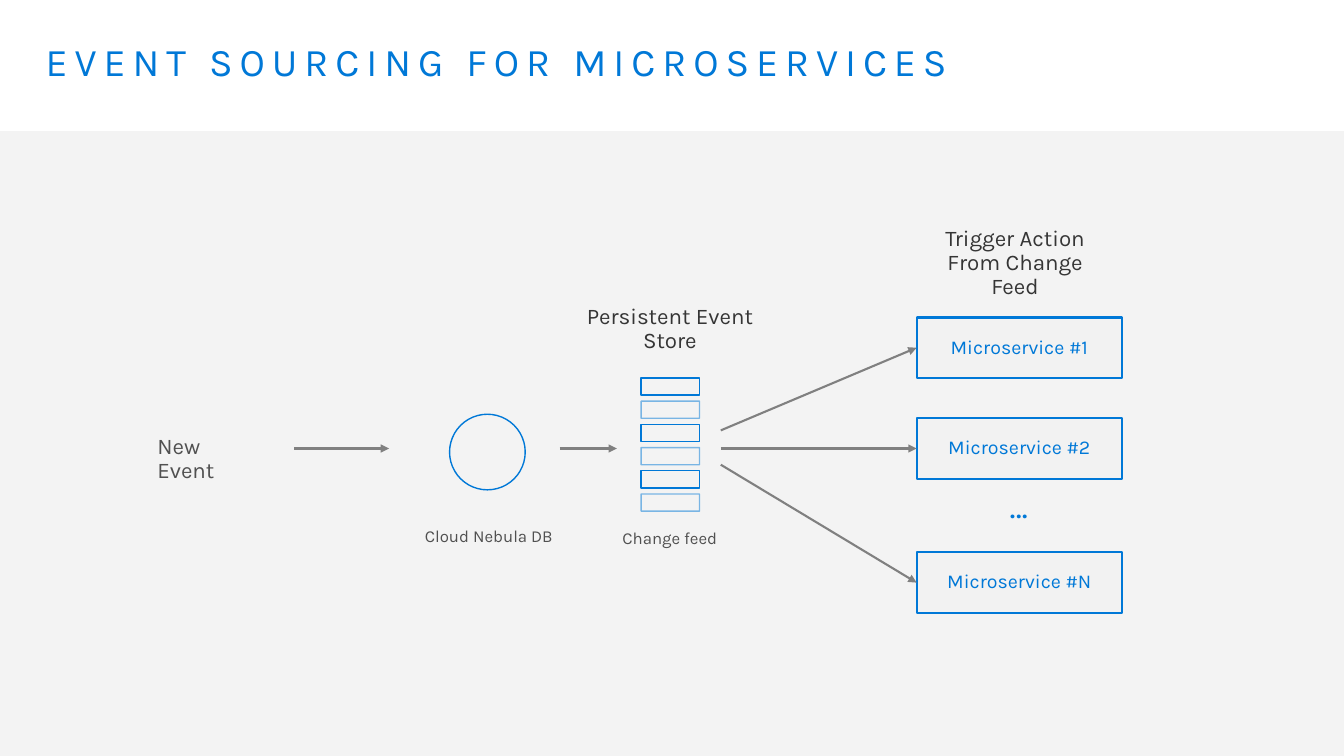
import pptx
import pptx.dml.color
import pptx.enum.shapes
import pptx.enum.text
import pptx.oxml
import pptx.oxml.ns
import pptx.util

SHAPES = pptx.enum.shapes.MSO_SHAPE
ALIGN = pptx.enum.text.PP_ALIGN
ANCHOR = pptx.enum.text.MSO_ANCHOR
BLUE, DARK, TEXT, GRAY, PALE = "0078D7", "353535", "505050", "808080", "F2F2F2"


def paint(fill, color, alpha=100):
    """Set a solid colour with an opacity in percent."""
    fill.solid()
    fill.fore_color.rgb = pptx.dml.color.RGBColor.from_string(color)
    if alpha < 100:
        node = fill._xPr.find(".//" + pptx.oxml.ns.qn("a:srgbClr"))
        tag = pptx.oxml.parse_xml(
            f'<a:alpha {pptx.oxml.ns.nsdecls("a")} val="{alpha * 1000}"/>')
        node.append(tag)


class Board:
    """A slide whose lengths are percent of its width and height."""

    font = "Karla"
    wide = (0.2, 0.16)
    slim = (0.1, 0.05)

    def __init__(self, deck):
        self.deck = deck
        self.slide = deck.slides.add_slide(deck.slide_layouts[6])

    def place(self, *sizes):
        """Turn x, y, x, y... percents into slide lengths."""
        full = (self.deck.slide_width, self.deck.slide_height)
        return [round(size * full[i % 2] / 100) for i, size in enumerate(sizes)]

    def shape(self, kind, box, fill=None, line=None, width=1, alpha=100):
        item = self.slide.shapes.add_shape(kind, *self.place(*box))
        item.shadow.inherit = False
        if fill:
            paint(item.fill, fill, alpha)
        else:
            item.fill.background()
        if line:
            item.line.width = pptx.util.Pt(width)
            paint(item.line.fill, line, alpha)
        else:
            item.line.fill.background()
        return item

    def letter(self, item, text, size, color, align=ALIGN.CENTER, pad=wide,
               space=0.9, wrap=True, anchor=ANCHOR.TOP, track=0):
        """Put styled text in a shape; track is letter spacing in points."""
        frame = item.text_frame
        frame.text = text
        frame.word_wrap = wrap
        frame.vertical_anchor = anchor
        frame.margin_left = frame.margin_right = pptx.util.Inches(pad[0])
        frame.margin_top = frame.margin_bottom = pptx.util.Inches(pad[1])
        line = frame.paragraphs[0]
        line.alignment = align
        line.line_spacing = space
        font = line.runs[0].font
        font.name = self.font
        font.size = pptx.util.Pt(size)
        paint(font.fill, color)
        if track:
            font._element.set("spc", str(track * 100))

    def label(self, box, text, size, color, **style):
        item = self.slide.shapes.add_textbox(*self.place(*box))
        self.letter(item, text, size, color, **style)

    def arrow(self, start, end):
        line = self.slide.shapes.add_connector(
            pptx.enum.shapes.MSO_CONNECTOR.STRAIGHT, *self.place(*start, *end))
        line.line.width = pptx.util.Pt(1.5)
        paint(line.line.fill, GRAY)
        space = pptx.oxml.ns.nsdecls("a")
        line.line._get_or_add_ln().append(
            pptx.oxml.parse_xml(f'<a:tailEnd {space} type="triangle"/>'))
        line._element.spPr.append(pptx.oxml.parse_xml(f"<a:effectLst {space}/>"))


def main():
    deck = pptx.Presentation()
    deck.slide_width = pptx.util.Inches(13.33)
    deck.slide_height = pptx.util.Inches(7.5)
    board = Board(deck)

    board.shape(SHAPES.RECTANGLE, (0, 17.33, 100, 82.67), fill=PALE, alpha=89)
    board.label((2.2, 4.27, 95.6, 13.07), "EVENT SOURCING FOR MICROSERVICES",
                28, BLUE, align=ALIGN.LEFT, pad=(0.16, 0.1), track=5)

    # Event and database
    axis = 59.33
    board.label((10.2, 56, 10.8, 7.47), "New Event", 16, TEXT,
                align=ALIGN.LEFT, wrap=False)
    board.arrow((21.9, axis), (28.95, axis))
    board.shape(SHAPES.OVAL, (33.45, 54.8, 5.63, 10), line=BLUE)
    board.label((28.2, 68.93, 16.35, 4), "Cloud Nebula DB", 12, TEXT,
                pad=board.slim, space=1)
    board.arrow((41.63, axis), (45.9, axis))

    # Change feed
    board.label((40.58, 38.27, 18.53, 7.47), "Persistent Event Store", 16, DARK)
    for row in range(6):
        board.shape(SHAPES.RECTANGLE, (47.7, 50 + 3.07 * row, 4.35, 2.27),
                    line=BLUE, alpha=50 if row % 2 else 100)
    board.label((45.15, 69.2, 9.38, 4), "Change feed", 12, TEXT,
                pad=board.slim, space=1)

    # Microservices
    left, high = 68.2, 8
    board.label((67.2, 27.87, 16.65, 10.67), "Trigger Action From Change Feed",
                16, DARK)
    for mark, top, start in (("1", 42, 56.93), ("2", axis - high / 2, axis),
                             ("N", 73.07, 61.47)):
        box = board.shape(SHAPES.RECTANGLE, (left, top, 15.3, high),
                          fill=PALE, line=BLUE, width=1.5)
        board.letter(box, f"Microservice #{mark}", 14, BLUE, anchor=ANCHOR.MIDDLE)
        board.arrow((53.63, start), (left, top + high / 2))
    board.label((73.43, 64.8, 4.73, 4.8), "…", 24, BLUE, pad=(0.2, 0), wrap=False)

    deck.save("out.pptx")


if __name__ == "__main__":
    main()
